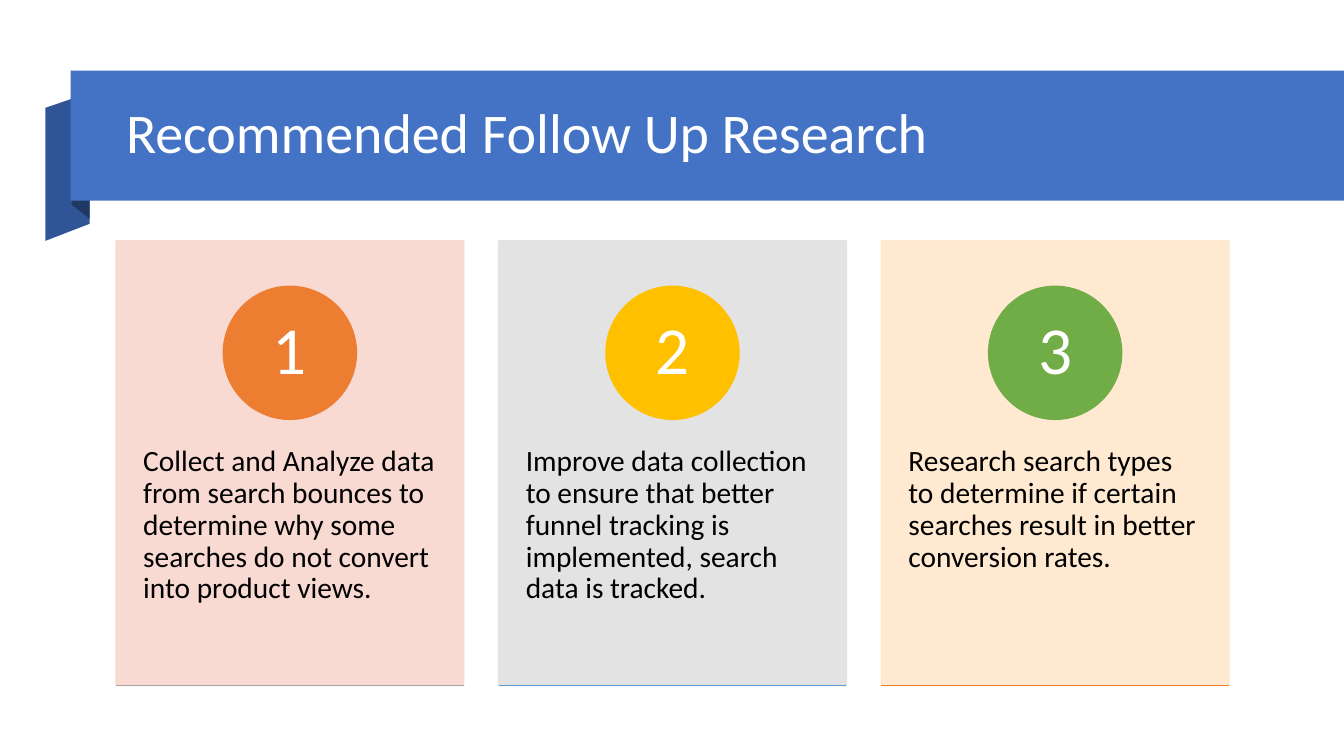
from lxml import etree
from pptx import Presentation
from pptx.dml.color import RGBColor
from pptx.enum.shapes import MSO_CONNECTOR, MSO_SHAPE
from pptx.enum.text import MSO_ANCHOR, MSO_AUTO_SIZE, PP_ALIGN
from pptx.oxml.ns import qn
from pptx.util import Inches, Pt

RECTANGLE, OVAL = MSO_SHAPE.RECTANGLE, MSO_SHAPE.OVAL
STRAIGHT = MSO_CONNECTOR.STRAIGHT
TOP, MIDDLE = MSO_ANCHOR.TOP, MSO_ANCHOR.MIDDLE
LEFT, CENTER = PP_ALIGN.LEFT, PP_ALIGN.CENTER
NO_AUTOFIT = MSO_AUTO_SIZE.NONE

CARD_LEFT, CARD_TOP = 1.15, 2.39
CARD_WIDTH, CARD_HEIGHT, CARD_STEP = 3.45, 4.41, 3.795
CIRCLE_SIZE, NUMBER_SIZE = 1.32, 0.94
CARDS = [
    ("Collect and Analyze data from search bounces to determine why some "
     "searches do not convert into product views.",
     "F8D7CE", "ED7D31", "A5A5A5"),
    ("Improve data collection to ensure that better funnel tracking is "
     "implemented, search data is tracked.",
     "E1E1E1", "FFC000", "5B9BD5"),
    ("Research search types to determine if certain searches result in "
     "better conversion rates.",
     "FFE8CC", "70AD47", "ED7D31"),
]
RIBBON_FOLDS = [
    ([(0.89, 2.22), (0.45, 2.39), (0.45, 1.07), (0.89, 0.92)], "2F5597"),
    ([(0.89, 2.17), (0.71, 2.03), (0.71, 0.7), (0.89, 0.85)], "203864"),
]


def color(hex_string):
    return RGBColor.from_string(hex_string)


def paint(shape, fill, line=None, opacity=100):
    shape.shadow.inherit = False
    shape.fill.solid()
    shape.fill.fore_color.rgb = color(fill)
    if line:
        shape.line.color.rgb = color(line)
        shape.line.width = Pt(1)
    else:
        shape.line.fill.background()
    if opacity < 100:
        for solid in shape._element.spPr.iter(qn("a:srgbClr")):
            etree.SubElement(solid, qn("a:alpha"), val=str(opacity * 1000))


def add_shape(slide, kind, left, top, width, height, fill, **style):
    shape = slide.shapes.add_shape(
        kind, Inches(left), Inches(top), Inches(width), Inches(height))
    paint(shape, fill, **style)


def add_fold(slide, points, fill):
    corners = [(Inches(x), Inches(y)) for x, y in points]
    builder = slide.shapes.build_freeform(*corners[0])
    builder.add_line_segments(corners[1:], close=True)
    paint(builder.convert_to_shape(), fill)


def add_baseline(slide, left, top, width, line):
    connector = slide.shapes.add_connector(
        STRAIGHT, Inches(left), Inches(top), Inches(left + width), Inches(top))
    connector.line.color.rgb = color(line)
    connector.line.width = Pt(1)
    etree.SubElement(connector._element.spPr, qn("a:effectLst"))


def write_text(shape, text, size, font_color, align=LEFT, anchor=TOP,
               margins=(0.1, 0.05)):
    frame = shape.text_frame
    frame.word_wrap = True
    frame.auto_size = NO_AUTOFIT
    frame.vertical_anchor = anchor
    frame.margin_left = frame.margin_right = Inches(margins[0])
    frame.margin_top = frame.margin_bottom = Inches(margins[1])
    paragraph = frame.paragraphs[0]
    paragraph.alignment = align
    paragraph.line_spacing = 0.9
    run = paragraph.add_run()
    run.text = text
    run.font.name = "Calibri"
    run.font.size = Pt(size)
    run.font.color.rgb = color(font_color)


def add_text(slide, left, top, width, height, text, **style):
    box = slide.shapes.add_textbox(
        Inches(left), Inches(top), Inches(width), Inches(height))
    write_text(box, text, **style)


def add_title(slide, text):
    title = slide.shapes.title
    title.left, title.top = Inches(1.15), Inches(0.86)
    title.width, title.height = Inches(11.27), Inches(0.96)
    write_text(title, text, size=40, font_color="FFFFFF", anchor=MIDDLE)
    slide.shapes._spTree.append(title._element)


def add_card(slide, index, text, background, accent, baseline):
    left = CARD_LEFT + index * CARD_STEP
    center = left + CARD_WIDTH / 2
    add_shape(slide, RECTANGLE, left, CARD_TOP, CARD_WIDTH, CARD_HEIGHT,
              background, line=background, opacity=90)
    add_text(slide, left, 4.07, CARD_WIDTH, 2.65, text,
             size=21, font_color="000000", margins=(0.27, 0.36))
    add_shape(slide, OVAL, center - CIRCLE_SIZE / 2, 2.84,
              CIRCLE_SIZE, CIRCLE_SIZE, accent, line=accent)
    add_text(slide, center - NUMBER_SIZE / 2, 3.03, NUMBER_SIZE, NUMBER_SIZE,
             str(index + 1), size=48, font_color="FFFFFF", align=CENTER,
             anchor=MIDDLE, margins=(0.1, 0.01))
    add_baseline(slide, left, CARD_TOP + CARD_HEIGHT, CARD_WIDTH, baseline)


def main():
    presentation = Presentation()
    presentation.slide_width = Inches(13.33)
    presentation.slide_height = Inches(7.5)
    slide = presentation.slides.add_slide(presentation.slide_layouts[5])
    for points, fill in RIBBON_FOLDS:
        add_fold(slide, points, fill)
    add_shape(slide, RECTANGLE, 0.7, 0.7, 12.63, 1.29, "4472C4")
    add_title(slide, "Recommended Follow Up Research")
    for index, card in enumerate(CARDS):
        add_card(slide, index, *card)
    presentation.save("out.pptx")


if __name__ == "__main__":
    main()
